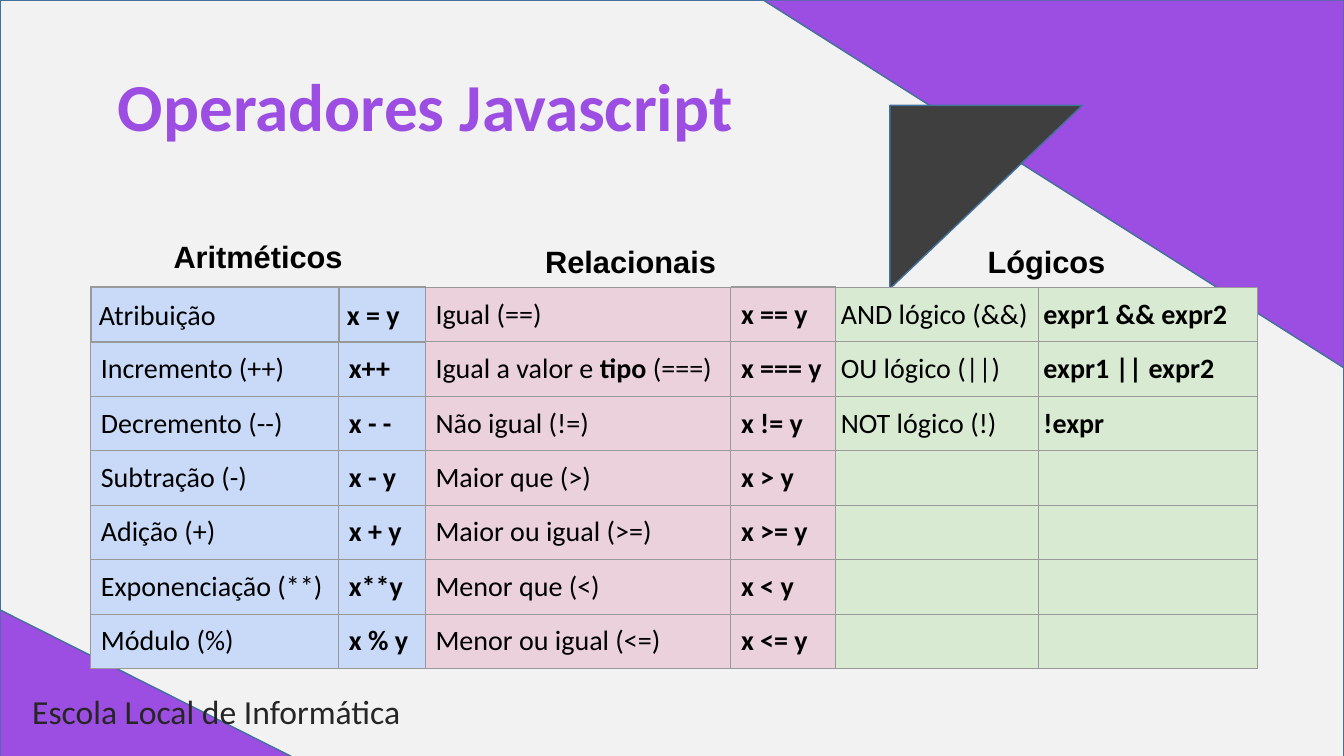
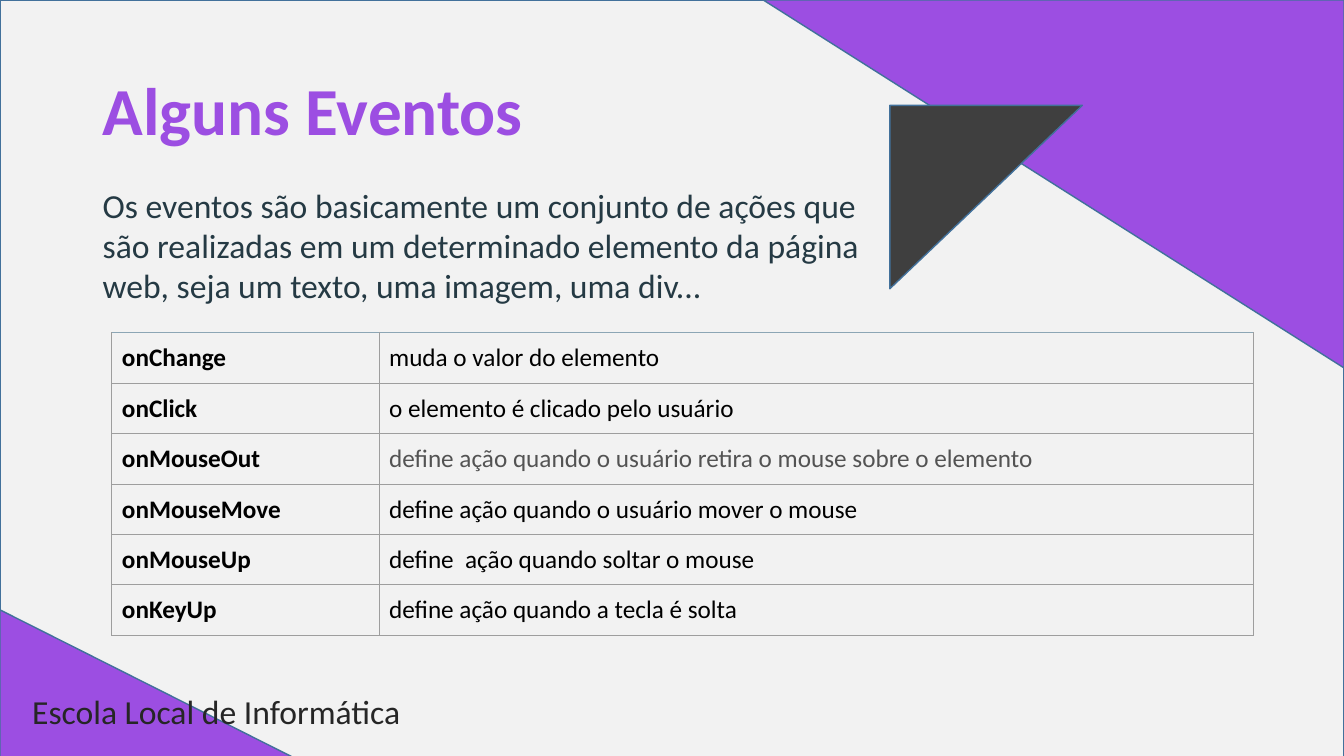
from dataclasses import dataclass

from lxml.etree import SubElement
from pptx import Presentation
from pptx.dml.color import RGBColor
from pptx.enum.shapes import MSO_SHAPE
from pptx.enum.text import MSO_ANCHOR, MSO_AUTO_SIZE, PP_ALIGN
from pptx.oxml.ns import qn
from pptx.util import Inches, Pt


@dataclass(frozen=True)
class Theme:
    paper: str = "F2F2F2"
    purple: str = "9C4EE2"
    dark: str = "3F3F3F"
    edge: str = "42719B"
    foot: str = "262626"
    prose: str = "253A44"
    black: str = "000000"
    muted: str = "535353"
    blue: str = "C9DAF8"
    pink: str = "EAD1DC"
    green: str = "D9EAD3"
    rule: str = "999999"
    line: str = "9E9E9E"
    top: str = "8CA6B5"
    face: str = "Calibri"
    sans: str = "Arial"
    title: int = 48
    text: int = 24
    head: int = 22
    code: int = 20
    event: int = 18
    thin: float = 0.75
    thick: float = 1.5


T = Theme()

HEADS = ("Aritméticos", "Relacionais", "Lógicos")
MATH = [
    ("Atribuição", "x = y"),
    ("Incremento (++)", "x++"),
    ("Decremento (--)", "x - -"),
    ("Subtração (-)", "x - y"),
    ("Adição (+)", "x + y"),
    ("Exponenciação (**)", "x**y"),
    ("Módulo (%)", "x % y"),
]
TESTS = [
    ("Igual (==)", "x == y"),
    (("Igual a valor e ", "tipo", " (===)"), "x === y"),
    ("Não igual (!=)", "x != y"),
    ("Maior que (>)", "x > y"),
    ("Maior ou igual (>=)", "x >= y"),
    ("Menor que (<)", "x < y"),
    ("Menor ou igual (<=)", "x <= y"),
]
LOGIC = [
    ("AND lógico (&&)", "expr1 && expr2"),
    ("OU lógico (||)", "expr1 || expr2"),
    ("NOT lógico (!)", "!expr"),
]
EVENTS = [
    ("onChange", "muda o valor do elemento"),
    ("onClick", "o elemento é clicado pelo usuário"),
    ("onMouseOut", "define ação quando o usuário retira o mouse sobre o elemento"),
    ("onMouseMove", "define ação quando o usuário mover o mouse"),
    ("onMouseUp", "define  ação quando soltar o mouse"),
    ("onKeyUp", "define ação quando a tecla é solta"),
]


def rgb(code):
    return RGBColor.from_string(code)


def apply(obj, **form):
    for name, value in form.items():
        setattr(obj, name, value)


def place(shape, box):
    sides = ("left", "top", "width", "height")
    apply(shape, **dict(zip(sides, map(Inches, box))))


def pads(side, end):
    return dict(margin_left=Inches(side), margin_right=Inches(side),
                margin_top=Inches(end), margin_bottom=Inches(end))


def write(frame, text, size, color, bold=False, face=T.face, **para):
    """Write one paragraph; a tuple of runs alternates the bold state."""
    par = frame.paragraphs[0]
    apply(par, **para)
    for n, part in enumerate((text,) if isinstance(text, str) else text):
        run = par.add_run()
        run.text = part
        apply(run.font, name=face, size=Pt(size), bold=bold != bool(n % 2))
        run.font.color.rgb = rgb(color)


def add_form(slide, kind, box, fill, turn=0):
    shape = slide.shapes.add_shape(kind, *map(Inches, box))
    apply(shape, rotation=turn)
    shape.shadow.inherit = False
    shape.fill.solid()
    shape.fill.fore_color.rgb = rgb(fill)
    shape.line.color.rgb = rgb(T.edge)
    shape.line.width = Pt(1)
    return shape


def add_text(slide, box, text, color, end):
    shape = slide.shapes.add_textbox(*map(Inches, box))
    apply(shape.text_frame, word_wrap=True, **pads(0.1, end))
    write(shape.text_frame, text, T.text, color)
    return shape


def set_base(layout, slide):
    """Draw the shared backdrop and footer, then move them to the layout."""
    wedge = MSO_SHAPE.RIGHT_TRIANGLE
    forms = [
        (MSO_SHAPE.RECTANGLE, (0, 0, 13.33, 7.57), T.paper),
        (wedge, (0, 6.05, 3, 1.51), T.purple),
        (wedge, (7.57, 0, 5.76, 3.65), T.purple, 180),
        (wedge, (8.87, 1, 1.82, 1.91), T.dark, 90),
    ]
    parts = [add_form(slide, *form) for form in forms]
    parts.append(add_text(slide, (0.22, 6.81, 4.59, 0.5),
                          "Escola Local de Informática", T.foot, 0.05))
    for n, part in enumerate(parts):
        part.element.nvSpPr.cNvPr.set("id", str(100 + n))
        layout.shapes.element.insert(2 + n, part.element)


def set_title(slide, box, text):
    shape = slide.shapes.title
    place(shape, box)
    apply(shape.text_frame, word_wrap=True, auto_size=MSO_AUTO_SIZE.NONE,
          vertical_anchor=MSO_ANCHOR.MIDDLE, **pads(0.1, 0.05))
    write(shape.text_frame, text, T.title, T.purple, True,
          alignment=PP_ALIGN.LEFT, line_spacing=0.9)


def add_grid(slide, spot, cols, rows):
    box = (*spot, sum(cols), sum(rows))
    grid = slide.shapes.add_table(len(rows), len(cols),
                                  *map(Inches, box)).table
    apply(grid, first_row=False, horz_banding=False)
    for col, width in zip(grid.columns, cols):
        col.width = Inches(width)
    for row, height in zip(grid.rows, rows):
        row.height = Inches(height)
    return grid


def set_cell(cell, edges, fill=None, pad=(0.1, 0.1)):
    """Set fill, margins and edges; edges maps L, R, T, B to (color, width)."""
    apply(cell, **pads(*pad))
    if fill:
        cell.fill.solid()
        cell.fill.fore_color.rgb = rgb(fill)
    else:
        cell.fill.background()
    props = cell._tc.get_or_add_tcPr()
    for n, side in enumerate("LRTB"):
        line = SubElement(props, qn(f"a:ln{side}"))
        props.insert(n, line)
        if side in edges:
            color, width = edges[side]
            line.set("w", str(Pt(width)))
            paint = SubElement(line, qn("a:solidFill"))
            SubElement(paint, qn("a:srgbClr")).set("val", color)
        else:
            line.set("w", "0")
            SubElement(line, qn("a:noFill"))


def add_ops(slide):
    grid = add_grid(slide, (0.9, 2.33), (2.46, 0.86, 3.03, 1.04, 2.01, 2.17),
                    [0.52] + [0.54] * len(MATH))
    thin, thick = (T.rule, T.thin), (T.rule, T.thick)
    heavy = {(1, 0): "LRTB", (1, 1): "LRTB", (1, 2): "L", (1, 3): "T",
             (2, 0): "T", (2, 1): "T"}
    groups = [(MATH, T.blue, 0.1, 1), (TESTS, T.pink, 0.1, 1),
              (LOGIC, T.green, 0.05, 1.15)]
    for g, (data, fill, pad, gap) in enumerate(groups):
        left = 2 * g
        for col in (left, left + 1):
            set_cell(grid.cell(0, col), {"B": thin if g else thick},
                     pad=(0.08, 0.06))
        head = grid.cell(0, left)
        head.merge(grid.cell(0, left + 1))
        write(head.text_frame, HEADS[g], T.head, T.black, True, T.sans,
              alignment=PP_ALIGN.CENTER, line_spacing=1.15 if g else 1)
        for row in range(1, len(MATH) + 1):
            for n in range(2):
                spot = (row, left + n)
                cell = grid.cell(*spot)
                first = row == 1 and g == 0
                edges = {side: thick if side in heavy.get(spot, "") else thin
                         for side in "LRTB"}
                set_cell(cell, edges, fill, (0.08, 0.06) if first else (pad, pad))
                if row <= len(data):
                    write(cell.text_frame, data[row - 1][n], T.code, T.black,
                          n == 1, line_spacing=1.15 if first else gap)


def add_events(slide):
    grid = add_grid(slide, (1.11, 3.3), (2.65, 8.67), [0.5] * len(EVENTS))
    for r, pair in enumerate(EVENTS):
        for c, text in enumerate(pair):
            edges = dict.fromkeys("LRTB", (T.line, T.thin))
            if r == 0:
                edges["T"] = (T.top, T.thin)
            cell = grid.cell(r, c)
            set_cell(cell, edges)
            soft = c == 1 and pair[0] == "onMouseOut"
            write(cell.text_frame, text, T.event,
                  T.muted if soft else T.black, c == 0)


def main():
    deck = Presentation()
    apply(deck, slide_width=Inches(13.33), slide_height=Inches(7.5))
    layout = deck.slide_layouts.get_by_name("Title Only")

    slide = deck.slides.add_slide(layout)
    set_base(layout, slide)
    set_title(slide, (1.07, 0.36, 11.5, 1.45), "Operadores Javascript")
    add_ops(slide)

    slide = deck.slides.add_slide(layout)
    set_title(slide, (0.92, 0.4, 7.63, 1.45), "Alguns Eventos")
    add_text(slide, (0.92, 1.73, 7.8, 1.1),
             "Os eventos são basicamente um conjunto de ações que são "
             "realizadas em um determinado elemento da página web, seja um "
             "texto, uma imagem, uma div...", T.prose, 0.1)
    add_events(slide)
    deck.save("out.pptx")


if __name__ == "__main__":
    main()
